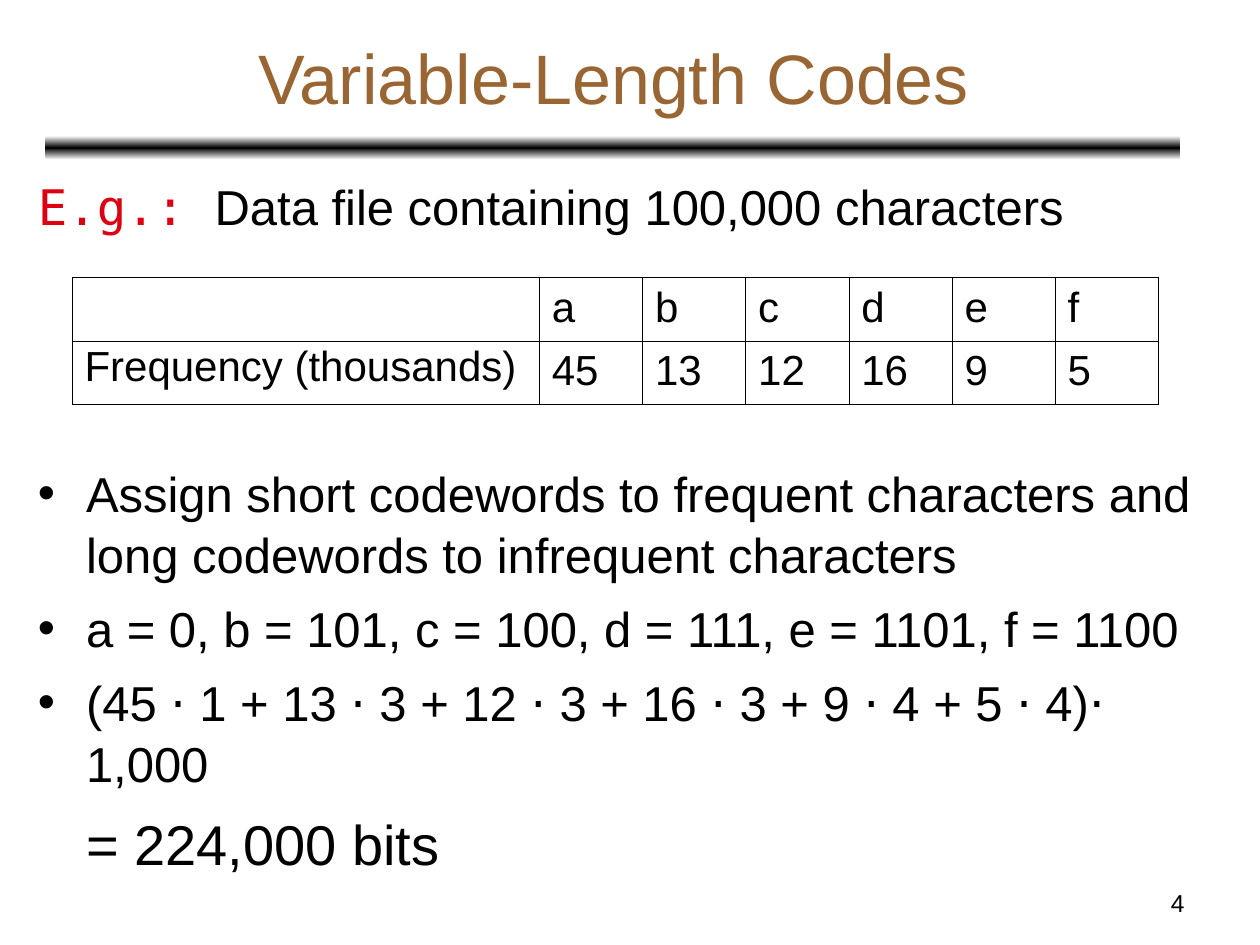
from copy import deepcopy
from dataclasses import dataclass

from lxml.etree import SubElement
from pptx import Presentation
from pptx.dml.color import RGBColor as Color
from pptx.enum.shapes import MSO_SHAPE as Shape
from pptx.enum.text import MSO_ANCHOR as Anchor, MSO_AUTO_SIZE as AutoSize, PP_ALIGN as Align
from pptx.oxml.ns import qn
from pptx.util import Cm, Pt


@dataclass(frozen=True)
class Theme:
    ink: str = "000000"
    paper: str = "FFFFFF"
    title: str = "996633"
    accent: str = "DD0111"
    sans: str = "Arial"
    mono: str = "DejaVu Sans Mono"
    title_size: int = 40
    result_size: int = 32
    body_size: int = 28
    table_size: int = 24
    number_size: int = 14
    outer_line: float = 0.5
    inner_line: float = 0.23


THEME = Theme()
FREQUENCIES = {"a": 45, "b": 13, "c": 12, "d": 16, "e": 9, "f": 5}
BULLETS = [
    "Assign short codewords to frequent characters and long codewords to infrequent characters",
    "a = 0, b = 101, c = 100, d = 111, e = 1101, f = 1100",
    "(45 ⋅ 1 + 13 ⋅ 3 + 12 ⋅ 3 + 16 ⋅ 3 + 9 ⋅ 4 + 5 ⋅ 4)⋅ 1,000",
]


def write(para, text, size=THEME.body_size, color=THEME.ink, font=THEME.sans,
          align=None, before=None, spacing=None):
    span = para.add_run()
    span.text = text
    span.font.size = Pt(size)
    span.font.name = font
    span.font.color.rgb = Color.from_string(color)
    if align is not None:
        para.alignment = align
    if before is not None:
        para.space_before = Pt(before)
        para.space_after = Pt(0.1)
    if spacing is not None:
        para.line_spacing = spacing


def place(box, left, top, width, height):
    box.left, box.top, box.width, box.height = map(Cm, (left, top, width, height))


def open_frame(box, anchor):
    frame = box.text_frame
    frame.word_wrap = True
    frame.auto_size = AutoSize.NONE
    frame.vertical_anchor = anchor
    return frame


def set_indent(para, left=0.97, first=0, bullet=False):
    properties = para._p.get_or_add_pPr()
    properties.set("marL", str(Cm(left)))
    properties.set("indent", str(Cm(first)))
    if bullet:
        SubElement(properties, qn("a:buFont"), typeface=THEME.sans)
        SubElement(properties, qn("a:buChar"), char="•")
    else:
        SubElement(properties, qn("a:buNone"))


def add_title(page):
    box = page.shapes.title
    place(box, 0.94, 0.28, 22.86, 2.51)
    write(open_frame(box, Anchor.MIDDLE).paragraphs[0], "Variable-Length Codes",
          size=THEME.title_size, color=THEME.title, align=Align.CENTER)


def add_rule(page):
    rule = page.shapes.add_shape(Shape.ROUNDED_RECTANGLE, Cm(0.91), Cm(2.74), Cm(22.89), Cm(0.48))
    rule.shadow.inherit = False
    rule.line.fill.background()
    rule.fill.gradient()
    rule.fill.gradient_angle = 90
    stop_list = rule._element.spPr.find(".//" + qn("a:gsLst"))
    stop_list.insert(1, deepcopy(stop_list[0]))
    colors = (THEME.paper, THEME.ink, THEME.paper)
    for stop, position, color in zip(rule.fill.gradient_stops, (0, 0.5, 1), colors):
        stop.position = position
        stop.color.rgb = Color.from_string(color)


def add_body(page):
    box = page.placeholders[1]
    place(box, 0.51, 3.38, 24.41, 15.01)
    frame = open_frame(box, Anchor.TOP)
    intro = frame.paragraphs[0]
    write(intro, "E.g.: ", color=THEME.accent, font=THEME.mono, before=7.1, spacing=1.04)
    write(intro, "Data file containing 100,000 characters")
    set_indent(intro, first=-0.97)
    table_gap = 129
    for index, text in enumerate(BULLETS):
        para = frame.add_paragraph()
        write(para, text, before=7.1 if index else table_gap, spacing=1.04)
        set_indent(para, first=-0.97, bullet=True)
    result = frame.add_paragraph()
    write(result, "= 224,000 bits", size=THEME.result_size, before=8.1, spacing=1.04)
    set_indent(result)


def set_borders(cell, outer_sides):
    properties = cell._tc.get_or_add_tcPr()
    for side in "LRTB":
        width = THEME.outer_line if side in outer_sides else THEME.inner_line
        line = SubElement(properties, qn(f"a:ln{side}"), w=str(Pt(width)))
        fill = SubElement(line, qn("a:solidFill"))
        SubElement(fill, qn("a:srgbClr"), val=THEME.ink)


def add_frequency_table(page):
    rows = [["", *FREQUENCIES], ["Frequency (thousands)", *FREQUENCIES.values()]]
    last = len(FREQUENCIES)
    table = page.shapes.add_table(2, last + 1, Cm(1.45), Cm(5.59), Cm(21.95), Cm(2.56)).table
    table.first_row = table.horz_banding = False
    for index, column in enumerate(table.columns):
        column.width = Cm(2.08 if index else 9.42)
    for row_index, values in enumerate(rows):
        table.rows[row_index].height = Cm(1.28)
        for index, value in enumerate(values):
            cell = table.cell(row_index, index)
            cell.vertical_anchor = Anchor.MIDDLE if index else Anchor.TOP
            set_borders(cell, "TB"[row_index] + {0: "L", last: "R"}.get(index, ""))
            cell.fill.background()
            if value:
                write(cell.text_frame.paragraphs[0], str(value), size=THEME.table_size,
                      before=6.1, spacing=0.93)


def add_page_number(page):
    box = page.shapes.add_textbox(Cm(18.21), Cm(17.78), Cm(5.92), Cm(0.89))
    write(open_frame(box, Anchor.TOP).paragraphs[0], "4",
          size=THEME.number_size, align=Align.RIGHT)


def main():
    deck = Presentation()
    deck.slide_width, deck.slide_height = Cm(25.4), Cm(19.05)
    page = deck.slides.add_slide(deck.slide_layouts[1])
    add_rule(page)
    add_page_number(page)
    add_title(page)
    add_body(page)
    add_frequency_table(page)
    deck.save("out.pptx")


if __name__ == "__main__":
    main()
